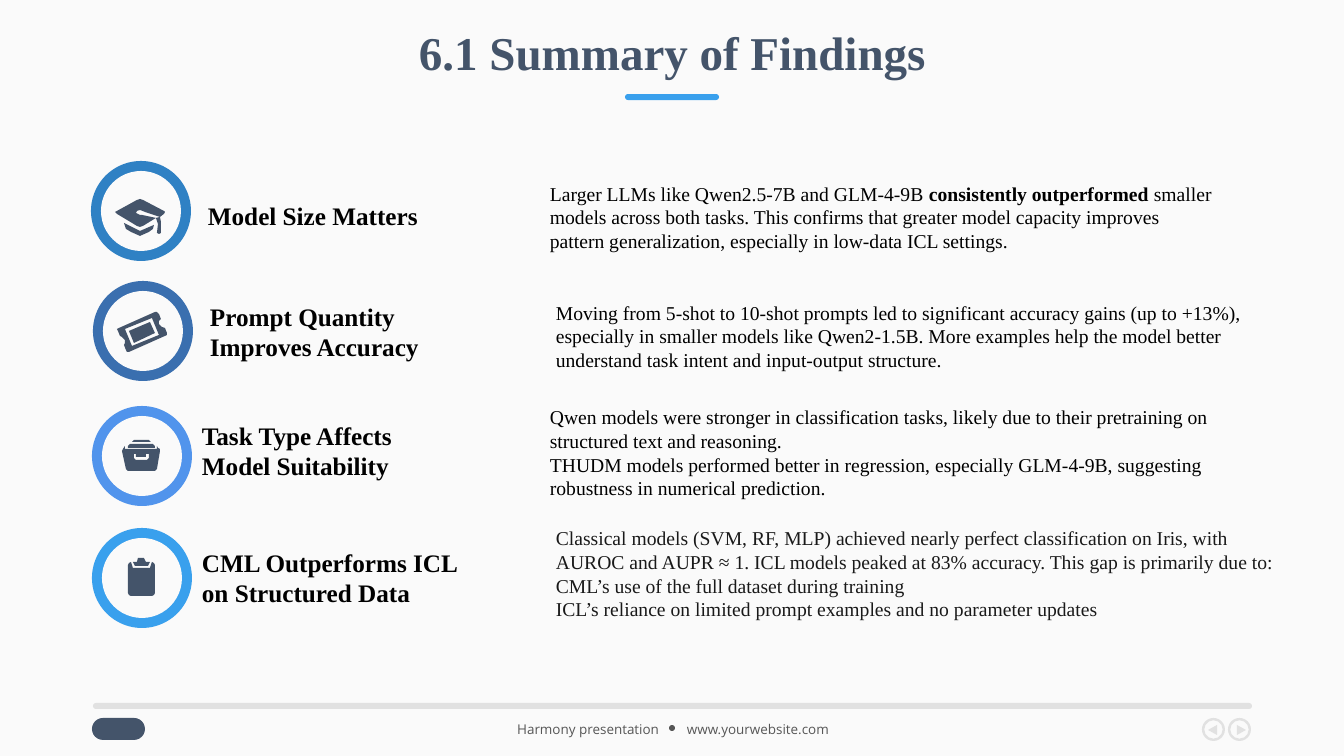
import pptx
import pptx.dml.color
import pptx.enum.shapes
import pptx.enum.text
import pptx.util

RGBColor = pptx.dml.color.RGBColor
SHAPE = pptx.enum.shapes.MSO_SHAPE
ALIGN = pptx.enum.text.PP_ALIGN
ANCHOR = pptx.enum.text.MSO_ANCHOR

EMU_PER_PX = 914400 / 100.8
PAPER = RGBColor(0xFA, 0xFA, 0xFA)
SLATE = RGBColor(0x44, 0x54, 0x6A)
SKY = RGBColor(0x39, 0xA0, 0xED)
CORNFLOWER = RGBColor(0x51, 0x94, 0xEC)
DENIM = RGBColor(0x3A, 0x6F, 0xAF)
AZURE = RGBColor(0x2F, 0x81, 0xC4)
SILVER = RGBColor(0xE1, 0xE1, 0xE1)
GREY = RGBColor(0x56, 0x56, 0x56)
BLACK = RGBColor(0, 0, 0)
CHARCOAL = RGBColor(0x19, 0x19, 0x19)
SERIF, SANS = "Times New Roman", "Open Sans"

# Icon contours, in px from the icon's top left corner
CAP = [
    [(9, 24), (11, 30), (16, 33), (25, 37), (34, 33), (38, 30), (39, 26), (25, 32)],
    [(49, 12), (28, 1), (25, 0), (22, 1), (2, 12), (0, 13), (2, 15), (22, 27),
     (25, 28), (28, 27), (41, 19), (27, 16), (25, 16), (21, 14), (22, 12),
     (25, 11), (30, 13), (45, 18), (49, 15), (50, 13)],
    [(42, 34), (44, 35), (46, 34), (46, 23), (45, 18), (41, 19), (43, 25)],
]
TICKET = [
    [(50, 21), (48, 16), (45, 15), (42, 12), (42, 9), (44, 7), (42, 2), (40, 0),
     (38, 0), (2, 16), (0, 17), (1, 19), (3, 24), (5, 25), (8, 28), (8, 31),
     (7, 33), (9, 38), (10, 40), (12, 40), (48, 24), (50, 23)],
    [(15, 34), (8, 17), (35, 6), (42, 23)],
    [(12, 19), (17, 31), (38, 21), (33, 10)],
]
CARD_BOX = [
    [(33, 6), (31, 4), (8, 4), (6, 6), (6, 8), (33, 8)],
    [(27, 0), (12, 0), (10, 2), (29, 2)],
    [(36, 8), (35, 6), (35, 9), (3, 9), (3, 6), (1, 9), (0, 11), (4, 29),
     (6, 31), (33, 31), (35, 29), (38, 11), (38, 9)],
    [(27, 18), (25, 20), (14, 20), (12, 18), (12, 14), (14, 14), (14, 17),
     (24, 17), (24, 14), (27, 14)],
]
CLIPBOARD = [
    [(24, 4), (22, 10), (5, 10), (3, 4), (1, 5), (0, 7), (0, 35), (1, 37),
     (3, 38), (24, 38), (26, 37), (27, 35), (27, 7), (26, 5)],
    [(20, 8), (22, 4), (18, 4), (16, 0), (10, 0), (9, 4), (5, 4), (7, 8)],
]
NEXT_ARROW = [[(0, 0), (9, 5), (0, 10)]]
BACK_ARROW = [[(9, 0), (0, 5), (9, 10)]]

# Each finding: ring place and colour, icon, heading, explanation
FINDINGS = [
    dict(ring=(91, 161), color=AZURE, icon=CAP, icon_at=(115, 199),
         heading="Model Size Matters", heading_box=(198, 195, 283, 40),
         body=[["Larger LLMs like Qwen2.5-7B and GLM-4-9B ",
                "consistently outperformed",
                " smaller models across both tasks. This confirms that greater model "
                "capacity improves pattern generalization, especially in low-data "
                "ICL settings."]],
         body_box=(540, 176, 688, 82)),
    dict(ring=(93, 281), color=DENIM, icon=TICKET, icon_at=(117, 312),
         heading="Prompt Quantity Improves Accuracy", heading_box=(200, 296, 283, 72),
         body=[["Moving from 5-shot to 10-shot prompts led to significant accuracy "
                "gains (up to +13%), especially in smaller models like Qwen2-1.5B. "
                "More examples help the model better understand task intent and "
                "input-output structure."]],
         body_box=(546, 295, 753, 82)),
    dict(ring=(92, 406), color=CORNFLOWER, icon=CARD_BOX, icon_at=(122, 440),
         heading="Task Type Affects Model Suitability", heading_box=(192, 415, 283, 72),
         body=[["Qwen models were stronger in classification tasks, likely due to "
                "their pretraining on structured text and reasoning."],
               ["THUDM models performed better in regression, especially GLM-4-9B, "
                "suggesting robustness in numerical prediction."]],
         body_box=(540, 400, 753, 105)),
    dict(ring=(92, 528), color=SKY, icon=CLIPBOARD, icon_at=(128, 558),
         heading="CML Outperforms ICL on Structured Data",
         heading_box=(192, 542, 283, 72),
         body=[["Classical models (SVM, RF, MLP) achieved nearly perfect "
                "classification on Iris, with AUROC and AUPR ≈ 1. ICL models peaked "
                "at 83% accuracy. This gap is primarily due to:"],
               ["CML’s use of the full dataset during training"],
               ["ICL’s reliance on limited prompt examples and no parameter updates"]],
         body_box=(546, 521, 753, 105), body_color=CHARCOAL),
]


def px(length):
    return pptx.util.Emu(round(length * EMU_PER_PX))


def paint(shape, color):
    shape.shadow.inherit = False
    shape.fill.solid()
    shape.fill.fore_color.rgb = color
    shape.line.fill.background()


def add_preset(slide, kind, box, color, adjustment=None):
    shape = slide.shapes.add_shape(kind, *map(px, box))
    if adjustment is not None:
        shape.adjustments[0] = adjustment
    paint(shape, color)


def add_outline(slide, contours, left, top, color):
    first, *others = contours
    outline = slide.shapes.build_freeform(*first[0], scale=EMU_PER_PX)
    outline.add_line_segments(first[1:], close=True)
    for contour in others:
        outline.move_to(*contour[0])
        outline.add_line_segments(contour[1:], close=True)
    paint(outline.convert_to_shape(px(left), px(top)), color)


def add_text(slide, box, paragraphs, size, color, font=SERIF, bold=None,
             align=ALIGN.LEFT, anchor=ANCHOR.TOP, spacing=None):
    """Each paragraph is a list of runs; every second run is bold."""
    frame = slide.shapes.add_textbox(*map(px, box)).text_frame
    frame.word_wrap = True
    frame.vertical_anchor = anchor
    for index, runs in enumerate(paragraphs):
        paragraph = frame.add_paragraph() if index else frame.paragraphs[0]
        paragraph.alignment = align
        paragraph.line_spacing = spacing
        paragraph.font.name = font
        paragraph.font.size = pptx.util.Pt(size)
        paragraph.font.color.rgb = color
        paragraph.font.bold = bold
        for position, text in enumerate(runs):
            run = paragraph.add_run()
            run.text = text
            if position % 2:
                run.font.bold = True


def add_finding(slide, finding):
    left, top = finding["ring"]
    add_preset(slide, SHAPE.OVAL, (left, top, 100, 100), finding["color"])
    add_preset(slide, SHAPE.OVAL, (left + 10, top + 10, 80, 80), PAPER)
    add_outline(slide, finding["icon"], *finding["icon_at"], SLATE)
    add_text(slide, finding["heading_box"], [[finding["heading"]]], 18, BLACK, bold=True)
    add_text(slide, finding["body_box"], finding["body"], 14,
             finding.get("body_color", BLACK), anchor=ANCHOR.MIDDLE)


def add_footer(slide):
    add_preset(slide, SHAPE.ROUNDED_RECTANGLE, (93, 703, 1159, 6), SILVER, 0.5)
    add_preset(slide, SHAPE.ROUNDED_RECTANGLE, (92, 718, 53, 22), SLATE, 0.5)
    add_text(slide, (482, 708, 187, 34), [["Harmony presentation"]], 9.6, GREY,
             font=SANS, align=ALIGN.RIGHT, spacing=1.5)
    add_preset(slide, SHAPE.OVAL, (669, 725, 6, 6), GREY)
    add_text(slide, (677, 708, 187, 34), [["www.yourwebsite.com"]], 9.6, GREY,
             font=SANS, spacing=1.5)
    for ring_left, arrow_left, arrow in ((1202, 1208, BACK_ARROW), (1228, 1237, NEXT_ARROW)):
        add_preset(slide, SHAPE.DONUT, (ring_left, 718, 23, 23), SILVER, 0.1)
        add_outline(slide, arrow, arrow_left, 725, SILVER)


def main():
    deck = pptx.Presentation()
    deck.slide_width, deck.slide_height = px(1344), px(756)
    slide = deck.slides.add_slide(deck.slide_layouts[6])
    slide.background.fill.solid()
    slide.background.fill.fore_color.rgb = PAPER

    # Title and its accent bar
    add_text(slide, (93, 27, 1159, 56), [["6.1 Summary of Findings"]], 33.6, SLATE,
             bold=True, align=ALIGN.CENTER, anchor=ANCHOR.MIDDLE, spacing=0.9)
    add_preset(slide, SHAPE.ROUNDED_RECTANGLE, (625, 94, 94, 6), SKY, 0.5)

    # Findings, then footer
    for finding in FINDINGS:
        add_finding(slide, finding)
    add_footer(slide)
    deck.save("out.pptx")


if __name__ == "__main__":
    main()
